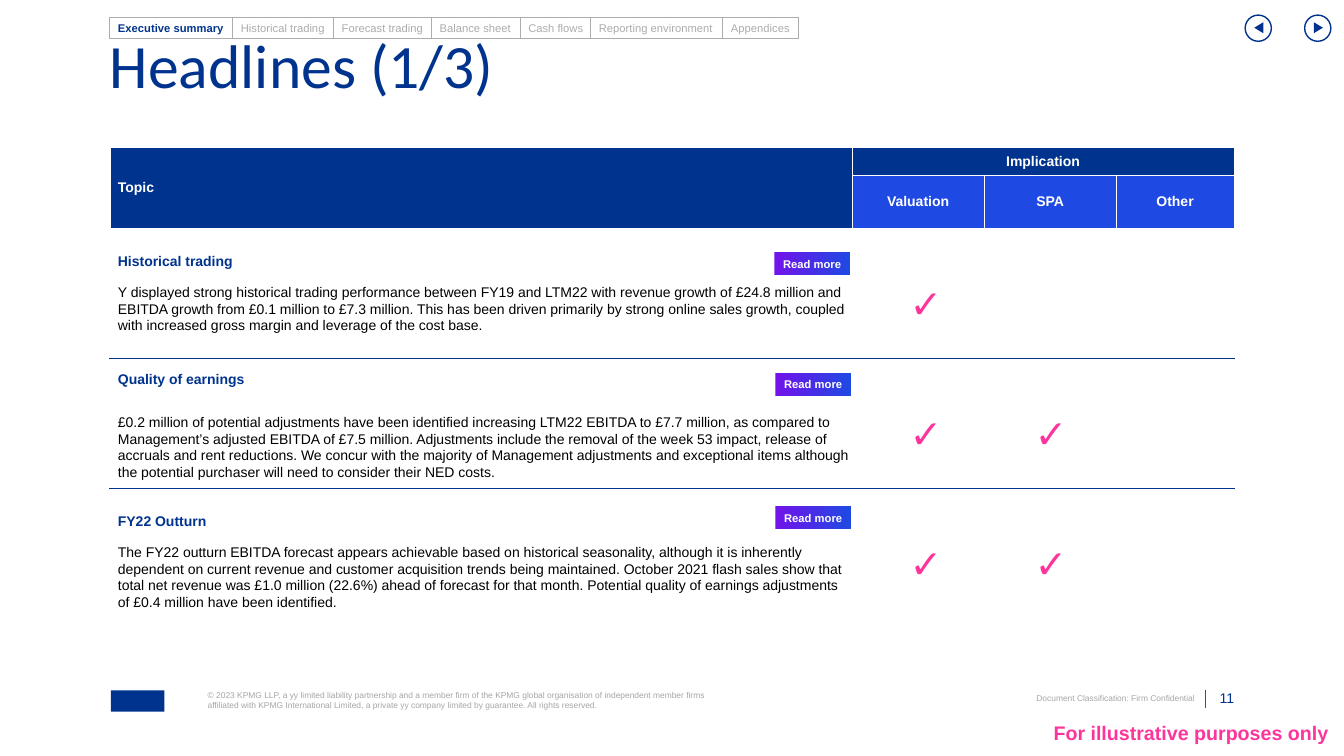
from lxml import etree
from pptx import Presentation
from pptx.dml.color import RGBColor
from pptx.enum.shapes import MSO_CONNECTOR as Connector, MSO_SHAPE as Shape
from pptx.enum.text import MSO_ANCHOR as Anchor, MSO_AUTO_SIZE as AutoSize, PP_ALIGN as Align
from pptx.oxml.ns import qn
from pptx.util import Inches, Pt

COLORS = {
    "navy": "00338D", "blue": "1E49E2", "purple": "7213EA", "pink": "FD349C",
    "grey": "ACACAC", "footer": "A6A6A6", "white": "FFFFFF", "black": "000000",
}
LEFT = 1.09
TABS = [("Executive summary", 1.22), ("Historical trading", 1.0), ("Forecast trading", 0.97),
        ("Balance sheet", 0.88), ("Cash flows", 0.7), ("Reporting environment", 1.31),
        ("Appendices", 0.75)]
COLUMNS = [7.36, 1.31, 1.31, 1.17]
ROWS = [0.28, 0.53, 1.29, 1.29, 1.29]
CHECK_LEFTS = [8.95, 10.19]

# Heading, heading top, button left and top, number of ticks, text
TOPICS = [
    ("Historical trading", 2.44, 7.68, 2.5, 1,
     "Y displayed strong historical trading performance between FY19 and LTM22 with revenue "
     "growth of £24.8 million and EBITDA growth from £0.1 million to £7.3 million. This has been "
     "driven primarily by strong online sales growth, coupled with increased gross margin and "
     "leverage of the cost base."),
    ("Quality of earnings", 3.61, 7.69, 3.7, 2,
     "£0.2 million of potential adjustments have been identified increasing LTM22 EBITDA to "
     "£7.7 million, as compared to Management’s adjusted EBITDA of £7.5 million. Adjustments "
     "include the removal of the week 53 impact, release of accruals and rent reductions. We "
     "concur with the majority of Management adjustments and exceptional items although the "
     "potential purchaser will need to consider their NED costs."),
    ("FY22 Outturn", 5.02, 7.69, 5.02, 2,
     "The FY22 outturn EBITDA forecast appears achievable based on historical seasonality, "
     "although it is inherently dependent on current revenue and customer acquisition trends "
     "being maintained. October 2021 flash sales show that total net revenue was £1.0 million "
     "(22.6%) ahead of forecast for that month. Potential quality of earnings adjustments of "
     "£0.4 million have been identified."),
]
COPYRIGHT = ("© 2023 KPMG LLP, a yy limited liability partnership and a member firm of the KPMG "
             "global organisation of independent member firms affiliated with KPMG International "
             "Limited, a private yy company limited by guarantee. All rights reserved.")


def rgb(name):
    return RGBColor.from_string(COLORS[name])


def write(frame, text, size, color, bold=False, align=Align.LEFT, anchor=Anchor.TOP,
          insets=(0, 0, 0, 0), wrap=True, font="Arial", spacing=None):
    left, top, right, bottom = map(Inches, insets)
    frame_format = {"auto_size": AutoSize.NONE, "word_wrap": wrap, "vertical_anchor": anchor,
                    "margin_left": left, "margin_top": top,
                    "margin_right": right, "margin_bottom": bottom}
    for name, value in frame_format.items():
        setattr(frame, name, value)
    para = frame.paragraphs[0]
    para.alignment = align
    if spacing:
        para.line_spacing = spacing
    run = para.add_run()
    run.text = text
    for name, value in {"name": font, "size": Pt(size), "bold": bold}.items():
        setattr(run.font, name, value)
    run.font.color.rgb = rgb(color)


def add_text(page, box, text, size, color, **style):
    write(page.shapes.add_textbox(*map(Inches, box)).text_frame, text, size, color, **style)


def add_block(shapes, kind, box, fill=None, line=None, width=0.75):
    block = shapes.add_shape(kind, *map(Inches, box))
    block.shadow.inherit = False
    if fill:
        block.fill.solid()
        block.fill.fore_color.rgb = rgb(fill)
    else:
        block.fill.background()
    if line:
        block.line.color.rgb = rgb(line)
        block.line.width = Pt(width)
    else:
        block.line.fill.background()
    return block


def add_title(page, box):
    title = page.shapes.title
    for name, value in zip(("left", "top", "width", "height"), box):
        setattr(title, name, Inches(value))
    write(title.text_frame, "Headlines (1/3)", 44, "navy", font="Calibri", spacing=0.7)


def add_tabs(page, left, top, height):
    group = page.shapes.add_group_shape()
    for index, (label, width) in enumerate(TABS):
        tab = add_block(group.shapes, Shape.RECTANGLE, (left, top, width, height), line="grey")
        active = index == 0
        write(tab.text_frame, label, 8, "navy" if active else "grey", bold=active,
              anchor=Anchor.MIDDLE, insets=(0.08, 0.04, 0.08, 0.04), wrap=False)
        left += width


def add_arrow_button(page, left, top, rotation):
    triangle = add_block(page.shapes, Shape.ISOSCELES_TRIANGLE,
                         (left + 0.08, top + 0.08, 0.11, 0.09), fill="navy")
    triangle.rotation = rotation
    add_block(page.shapes, Shape.OVAL, (left, top, 0.26, 0.26), line="navy", width=1)


def set_borders(cell, color, sides):
    properties = cell._tc.get_or_add_tcPr()
    for position, side in enumerate(side for side in "LRTB" if side in sides):
        line = etree.Element(qn(f"a:ln{side}"), w=str(Pt(0.75)))
        solid = etree.SubElement(line, qn("a:solidFill"))
        etree.SubElement(solid, qn("a:srgbClr"), val=COLORS[color])
        properties.insert(position, line)


def add_table(page, left, top):
    frame = page.shapes.add_table(len(ROWS), len(COLUMNS), Inches(left), Inches(top),
                                  Inches(sum(COLUMNS)), Inches(sum(ROWS)))
    table = frame.table
    table.first_row = table.horz_banding = False
    for column, width in zip(table.columns, COLUMNS):
        column.width = Inches(width)
    for row, height in zip(table.rows, ROWS):
        row.height = Inches(height)
    table.cell(0, 0).merge(table.cell(1, 0))
    table.cell(0, 1).merge(table.cell(0, 3))

    # Header cells
    headers = [(0, 0, "Topic", "navy", "R"), (0, 1, "Implication", "navy", "LRB")]
    headers += [(1, column, label, "blue", "LRT")
                for column, label in enumerate(("Valuation", "SPA", "Other"), 1)]
    for row, column, label, fill, sides in headers:
        cell = table.cell(row, column)
        cell.fill.solid()
        cell.fill.fore_color.rgb = rgb(fill)
        set_borders(cell, "white", sides)
        inset = Inches(0.06 if label == "Implication" else 0.08)
        for side in ("left", "top", "right", "bottom"):
            setattr(cell, f"margin_{side}", inset)
        cell.vertical_anchor = Anchor.MIDDLE
        para = cell.text_frame.paragraphs[0]
        para.alignment = Align.CENTER if column else Align.LEFT
        run = para.add_run()
        run.text = label
        for name, value in {"name": "Arial", "size": Pt(10), "bold": True}.items():
            setattr(run.font, name, value)
        run.font.color.rgb = rgb("white")

    # Open body cells with rules between topics
    for row, sides in ((2, "B"), (3, "TB"), (4, "T")):
        for column in range(len(COLUMNS)):
            cell = table.cell(row, column)
            cell.fill.background()
            set_borders(cell, "navy", sides)


def add_topic(page, left, top, topic):
    heading, heading_top, button_left, button_top, ticks, text = topic
    add_text(page, (left, heading_top, 7.34, 0.29), heading, 10, "navy", bold=True,
             anchor=Anchor.MIDDLE, insets=(0.08, 0, 0, 0))
    add_text(page, (left, top + 0.54, 7.34, 0.73), text, 10, "black", insets=(0.08, 0, 0, 0))
    for check_left in CHECK_LEFTS[:ticks]:
        add_text(page, (check_left, top + 0.47, 0.47, 0.52), "✓", 28, "pink", bold=True,
                 align=Align.CENTER, anchor=Anchor.MIDDLE, insets=[0.08] * 4, wrap=False)
    button = add_block(page.shapes, Shape.ROUNDED_RECTANGLE,
                       (button_left, button_top, 0.75, 0.23), fill="blue")
    button.adjustments[0] = 0
    button.fill.gradient()
    button.fill.gradient_angle = 0
    for stop, color in zip(button.fill.gradient_stops, ("purple", "blue")):
        stop.color.rgb = rgb(color)
    write(button.text_frame, "Read more", 8, "white", bold=True, align=Align.CENTER,
          anchor=Anchor.MIDDLE)


def add_footer(page, left, top):
    add_block(page.shapes, Shape.RECTANGLE, (left, top, 0.53, 0.21), fill="navy")
    add_text(page, (left + 0.96, top, 5.06, 0.2), COPYRIGHT, 6, "footer")
    add_text(page, (9.81, top + 0.03, 2.04, 0.1), "Document Classification: Firm Confidential",
             6, "footer", align=Align.RIGHT)
    divider = page.shapes.add_connector(Connector.STRAIGHT, Inches(11.95), Inches(top),
                                        Inches(11.95), Inches(top + 0.17))
    divider.line.color.rgb = rgb("blue")
    divider.line.width = Pt(0.5)
    etree.SubElement(divider._element.spPr, qn("a:effectLst"))
    add_text(page, (11.97, top, 0.27, 0.16), "11", 10, "navy", align=Align.RIGHT,
             anchor=Anchor.BOTTOM)
    add_text(page, (10.4, top + 0.22, 2.78, 0.39), "For illustrative purposes only", 14, "pink",
             bold=True, align=Align.RIGHT, anchor=Anchor.MIDDLE, insets=(0, 0.04, 0, 0),
             spacing=0.8)


def main():
    deck = Presentation()
    deck.slide_width, deck.slide_height = Inches(13.33), Inches(7.5)
    page = deck.slides.add_slide(deck.slide_layouts[5])
    add_footer(page, 1.1, 6.85)
    add_arrow_button(page, 12.35, 0.15, 270)
    add_arrow_button(page, 12.94, 0.15, 90)
    add_table(page, LEFT, 1.46)
    add_title(page, (LEFT, 0.47, 11.16, 0.59))
    for index, topic in enumerate(TOPICS):
        add_topic(page, LEFT, 2.27 + 1.29 * index, topic)
    add_tabs(page, LEFT, 0.17, 0.21)
    deck.save("out.pptx")


if __name__ == "__main__":
    main()
